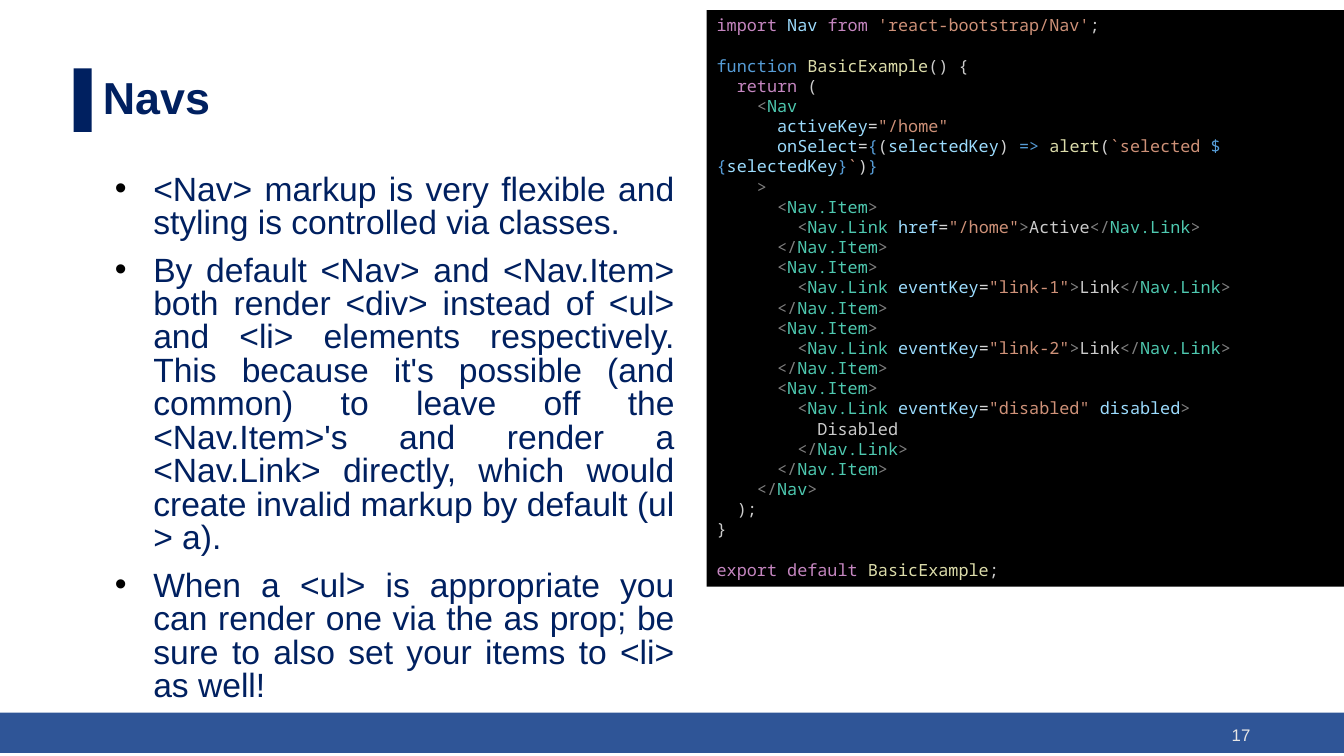
from lxml.etree import SubElement
from pptx import Presentation
from pptx.dml.color import RGBColor
from pptx.enum.shapes import MSO_SHAPE as Shape
from pptx.enum.text import MSO_ANCHOR as Anchor, MSO_AUTO_SIZE as AutoSize, PP_ALIGN as Align
from pptx.oxml.ns import qn
from pptx.util import Inches, Pt

HEADING = "Navs"
PAGE = "17"
POINTS = [
    "<Nav> markup is very flexible and styling is controlled via classes. ",
    "By default <Nav> and <Nav.Item> both render <div> instead of <ul> and <li> elements "
    "respectively. This because it's possible (and common) to leave off the <Nav.Item>'s "
    "and render a <Nav.Link> directly, which would create invalid markup by default (ul > a).",
    "When a <ul> is appropriate you can render one via the as prop; be sure to also set "
    "your items to <li> as well!",
]

NAVY, BLUE, PALE = "002060", "2F5597", "E7E6E6"
BLACK, WHITE = "000000", "FFFFFF"
SYNTAX = {
    "keyword": "C586C0", "name": "9CDCFE", "string": "CE9178", "plain": "CCCCCC",
    "brace": "569CD6", "function": "DCDCAA", "angle": "808080", "tag": "4EC9B0",
    "operator": "D4D4D4",
}

GT = ("angle", ">")
EQUALS = ("operator", "=")
OPEN_ITEM = (3, [("angle", "<"), ("tag", "Nav.Item"), GT])
CLOSE_ITEM = (3, [("angle", "</"), ("tag", "Nav.Item"), GT])
OPEN_LINK = [("angle", "<"), ("tag", "Nav.Link ")]
CLOSE_LINK = [("angle", "</"), ("tag", "Nav.Link"), GT]


def link_item(key, target, label):
    link = [*OPEN_LINK, ("name", key), EQUALS, ("string", target), GT, ("plain", label), *CLOSE_LINK]
    return [OPEN_ITEM, (4, link), CLOSE_ITEM]


CODE = [
    (0, [("keyword", "import "), ("name", "Nav "), ("keyword", "from "),
         ("string", "'react-bootstrap/Nav'"), ("plain", ";")]),
    (0, [("brace", "function "), ("function", "BasicExample"), ("plain", "() {")]),
    (1, [("keyword", "return"), ("plain", " (")]),
    (2, [("angle", "<"), ("tag", "Nav")]),
    (3, [("name", "activeKey"), EQUALS, ("string", '"/home"')]),
    (3, [("name", "onSelect"), EQUALS, ("brace", "{"), ("operator", "("),
         ("name", "selectedKey"), ("operator", ") "), ("brace", "=> "),
         ("function", "alert"), ("operator", "("), ("string", "`selected "),
         ("brace", "${"), ("name", "selectedKey"), ("brace", "}"),
         ("string", "`"), ("operator", ")"), ("brace", "}")]),
    (2, [GT]),
    *link_item("href", '"/home"', "Active"),
    *link_item("eventKey", '"link-1"', "Link"),
    *link_item("eventKey", '"link-2"', "Link"),
    OPEN_ITEM,
    (4, [*OPEN_LINK, ("name", "eventKey"), EQUALS, ("string", '"disabled" '),
         ("name", "disabled"), GT]),
    (5, [("plain", "Disabled")]),
    (4, CLOSE_LINK),
    CLOSE_ITEM,
    (2, [("angle", "</"), ("tag", "Nav"), GT]),
    (1, [("plain", ");")]),
    (0, [("plain", "}")]),
    (0, [("keyword", "export default "), ("function", "BasicExample"), ("plain", ";")]),
]
AFTER_GAP = {1, len(CODE) - 1}
CODE_LINE = Pt(14.4)
CODE_STEP = 0.2


def rgb(value):
    return RGBColor.from_string(value)


def write(paragraph, text, size=12, font="Arial", color=NAVY, bold=False):
    run = paragraph.add_run()
    run.text = text
    run.font.size = Pt(size)
    run.font.name = font
    run.font.bold = bold
    run.font.color.rgb = rgb(color)


def place(part, left, top, width, height):
    part.left, part.top = Inches(left), Inches(top)
    part.width, part.height = Inches(width), Inches(height)


def block(left, top, width, height, color):
    part = slide.shapes.add_shape(
        Shape.RECTANGLE, Inches(left), Inches(top), Inches(width), Inches(height))
    part.fill.solid()
    part.fill.fore_color.rgb = rgb(color)
    part.line.fill.background()
    part.shadow.inherit = False
    return part


def paragraphs(frame, count):
    return [frame.paragraphs[0]] + [frame.add_paragraph() for _ in range(count - 1)]


def indent(paragraph, left, first):
    props = paragraph._p.get_or_add_pPr()
    props.set("marL", str(Inches(left)))
    props.set("indent", str(Inches(first)))
    return props


deck = Presentation()
deck.slide_width, deck.slide_height = Inches(13.33), Inches(7.5)
slide = deck.slides.add_slide(deck.slide_layouts[1])

block(0, 7.07, 13.33, 0.4, BLUE)
block(0.73, 0.68, 0.18, 0.63, NAVY)

title = slide.shapes.title
place(title, 0.92, 0.68, 11.5, 0.63)
title.fill.solid()
title.fill.fore_color.rgb = rgb(WHITE)
title.text_frame.auto_size = AutoSize.NONE
title.text_frame.vertical_anchor = Anchor.MIDDLE
heading = title.text_frame.paragraphs[0]
heading.alignment = Align.LEFT
heading.line_spacing = 0.9
write(heading, HEADING, size=32, bold=True)

body = slide.placeholders[1]
place(body, 0.92, 1.68, 5.87, 5.41)
body.text_frame.auto_size = AutoSize.NONE
for paragraph, point in zip(paragraphs(body.text_frame, len(POINTS)), POINTS):
    paragraph.alignment = Align.JUSTIFY
    paragraph.line_spacing = 0.83
    paragraph.space_before = Pt(10)
    props = indent(paragraph, 0.5, -0.38)
    SubElement(SubElement(props, qn("a:buClr")), qn("a:srgbClr")).set("val", BLACK)
    SubElement(props, qn("a:buFont")).set("typeface", "Arial")
    SubElement(props, qn("a:buChar")).set("char", "•")
    write(paragraph, point, size=24)

page = slide.shapes.add_textbox(Inches(9.5), Inches(7.09), Inches(3), Inches(0.4))
page.text_frame.word_wrap = True
page.text_frame.vertical_anchor = Anchor.MIDDLE
page.text_frame.paragraphs[0].alignment = Align.RIGHT
write(page.text_frame.paragraphs[0], PAGE, color=PALE)

listing = block(7.01, 0.1, 6.33, 5.72, BLACK).text_frame
listing.word_wrap = True
listing.vertical_anchor = Anchor.TOP
for row, (paragraph, (level, tokens)) in enumerate(zip(paragraphs(listing, len(CODE)), CODE)):
    paragraph.alignment = Align.LEFT
    paragraph.line_spacing = CODE_LINE
    paragraph.space_before = CODE_LINE if row in AFTER_GAP else Pt(0)
    indent(paragraph, 0, level * CODE_STEP)
    for kind, text in tokens:
        write(paragraph, text, font="Noto Sans Mono", color=SYNTAX[kind])

deck.save("out.pptx")
